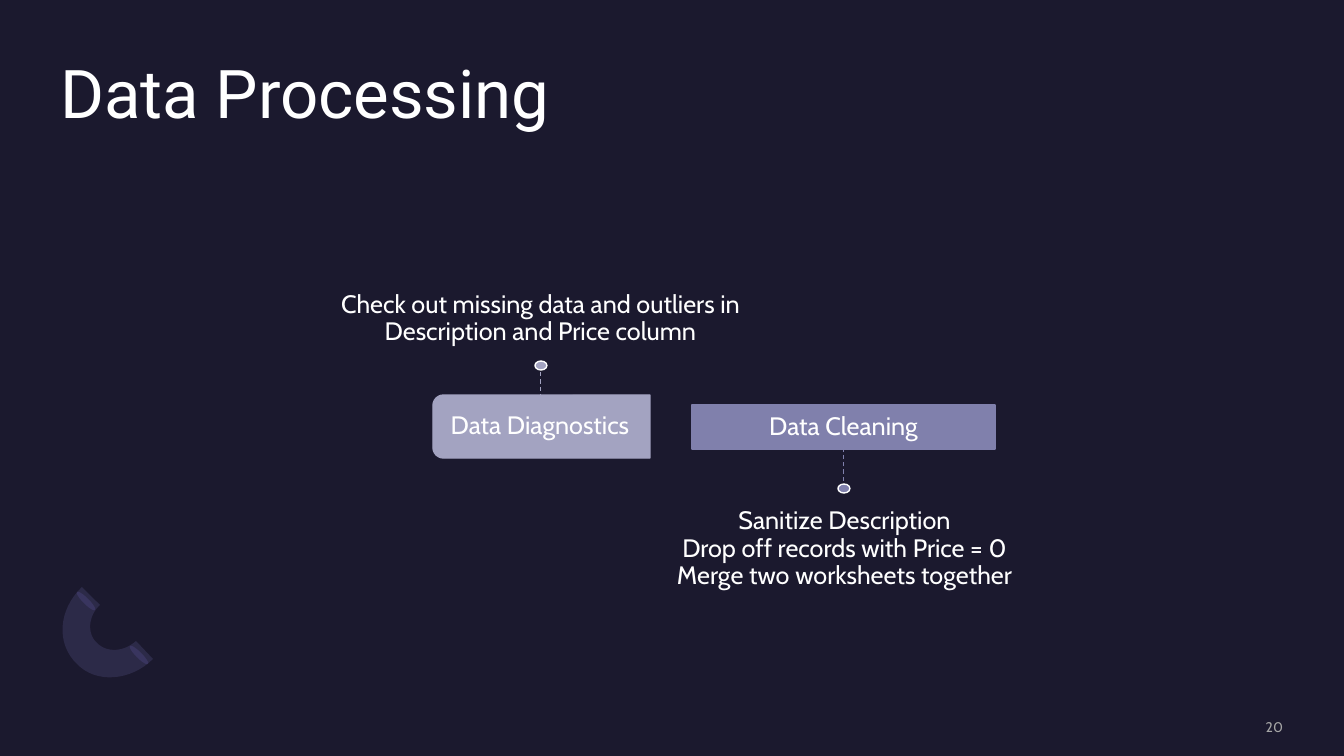
from pptx import Presentation
from pptx.dml.color import RGBColor
from pptx.enum import dml, shapes, text
from pptx.oxml import parse_xml
from pptx.oxml.ns import nsdecls, qn
from pptx.util import Pt

PX = 914400 / 100.8
WHITE, LILAC, VIOLET = "FFFFFF", "A3A3C1", "8080AC"
LEFT, MID, RIGHT = text.PP_ALIGN.LEFT, text.PP_ALIGN.CENTER, text.PP_ALIGN.RIGHT
TOP, CORE, BASE = (text.MSO_ANCHOR.TOP, text.MSO_ANCHOR.MIDDLE,
                   text.MSO_ANCHOR.BOTTOM)
KIND = shapes.MSO_SHAPE


def px(n):
    return round(n * PX)


def tint(code):
    return RGBColor.from_string(code)


def curve(a, b, c, d, steps=16):
    """Points along a cubic Bezier from a to d, without a itself."""
    for i in range(1, steps + 1):
        t = i / steps
        s = 1 - t
        yield tuple(s**3 * p + 3 * s * s * t * q + 3 * s * t * t * r + t**3 * v
                    for p, q, r, v in zip(a, b, c, d))


class Deck:
    def __init__(self, wide, high, back):
        self.font = "Cabin"
        self.prs = Presentation()
        self.prs.slide_width, self.prs.slide_height = px(wide), px(high)
        self.slide = self.prs.slides.add_slide(self.prs.slide_layouts[5])
        self.items = self.slide.shapes
        fill = self.slide.background.fill
        fill.solid()
        fill.fore_color.rgb = tint(back)

    def letter(self, shape, words, size=18, color=WHITE, align=MID,
               anchor=CORE, font=None, lead=0.9):
        """Put styled words into a shape."""
        frame = shape.text_frame
        frame.text = words
        frame.word_wrap = True
        frame.auto_size = text.MSO_AUTO_SIZE.NONE
        frame.vertical_anchor = anchor
        frame.margin_left = frame.margin_right = 0
        frame.margin_top = frame.margin_bottom = 0
        for para in frame.paragraphs:
            para.alignment, para.line_spacing = align, lead
            for run in para.runs:
                run.font.name = font or self.font
                run.font.size = Pt(size)
                run.font.color.rgb = tint(color)

    def title(self, words, x, y, w, h):
        head = self.items.title
        head.left, head.top, head.width, head.height = map(px, (x, y, w, h))
        self.letter(head, words, 48, align=LEFT, anchor=TOP, font="Roboto")

    def label(self, words, x, y, w, h, **style):
        box = self.items.add_textbox(px(x), px(y), px(w), px(h))
        self.letter(box, words, **style)

    def paint(self, shape, fill, line=None, alpha=None):
        shape.shadow.inherit = False
        shape.fill.solid()
        shape.fill.fore_color.rgb = tint(fill)
        if line:
            shape.line.color.rgb = tint(line)
            shape.line.width = Pt(1)
        else:
            shape.line.fill.background()
        if alpha:
            node = shape._element.spPr.find(qn("a:solidFill"))[0]
            node.append(parse_xml(
                f'<a:alpha {nsdecls("a")} val="{alpha * 1000}"/>'))

    def shape(self, kind, x, y, w, h, fill, line=None, turn=0):
        item = self.items.add_shape(kind, px(x), px(y), px(w), px(h))
        item.rotation = turn
        self.paint(item, fill, line)
        return item

    def dash(self, x, y, end, color):
        line = self.items.add_connector(
            shapes.MSO_CONNECTOR.STRAIGHT, px(x), px(y), px(x), px(end))
        line.line.color.rgb = tint(color)
        line.line.width = Pt(0.75)
        line.line.dash_style = dml.MSO_LINE.DASH
        line._element.spPr.append(
            parse_xml(f'<a:effectLst {nsdecls("a")}/>'))

    def pin(self, x, y, edge, color):
        """Dot centred at x, y, tied by a dashed line to a box edge."""
        self.dash(x, y, edge, color)
        self.shape(KIND.OVAL, x - 6, y - 4, 12, 9, color, WHITE)

    def ring(self, fill, alpha):
        """Half ring, open to the upper right."""
        outer = [(77, 664), (56, 644), (58, 610), (82, 587)]
        inner = [(100, 605), (88, 616), (87, 634), (97, 643),
                 (107, 653), (124, 652), (136, 641)]
        close = [(153, 659), (131, 681), (96, 684), (77, 664)]
        dots = [*curve(*outer), inner[0], *curve(*inner[:4]),
                *curve(*inner[3:]), close[0], *curve(*close)]
        form = self.items.build_freeform(*map(px, outer[0]), scale=1.0)
        form.add_line_segments([(px(x), px(y)) for x, y in dots], close=True)
        self.paint(form.convert_to_shape(), fill, alpha=alpha)


def main():
    deck = Deck(1344, 756, "1B192E")
    for x, y in ((136, 642), (83, 588)):
        deck.shape(KIND.OVAL, x, y, 6, 26, "2B274A", turn=315)
    deck.ring("746EB3", 20)
    deck.title("Data Processing", 60, 60, 1223, 147)
    deck.label("20", 1097, 718, 186, 17, size=10, color="A5A5A5",
               align=RIGHT, lead=1.0)

    tab = deck.shape(KIND.ROUND_2_SAME_RECTANGLE, 510, 318, 63, 217,
                     LILAC, LILAC, turn=270)
    tab.adjustments[0], tab.adjustments[1] = 0.167, 0
    deck.label("Data Diagnostics", 390, 407, 300, 39)
    deck.label("Check out missing data and outliers in "
               "Description and Price column", 288, 208, 505, 138, anchor=BASE)
    deck.pin(541, 365, 395, LILAC)

    bar = deck.shape(KIND.RECTANGLE, 692, 405, 303, 44, VIOLET, VIOLET)
    deck.letter(bar, "Data Cleaning")
    deck.label("Sanitize Description\nDrop off records with Price = 0\n"
               "Merge two worksheets together", 592, 508, 505, 138, anchor=TOP)
    deck.pin(844, 488, 449, VIOLET)
    deck.prs.save("out.pptx")


if __name__ == "__main__":
    main()
